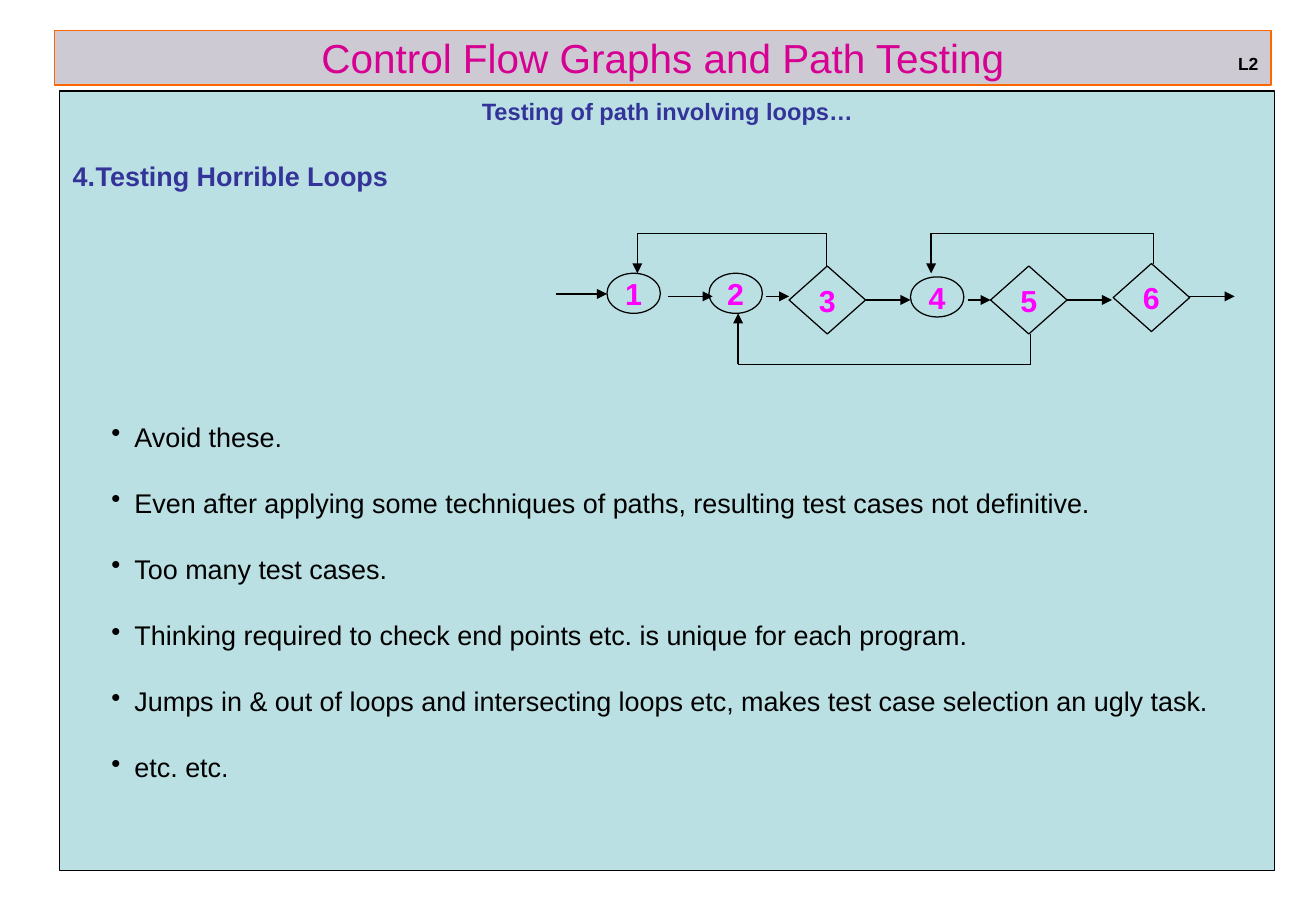
import pptx
import pptx.util
import pptx.dml.color
import pptx.enum.shapes
import pptx.enum.text
import pptx.oxml.ns
from lxml import etree

Inches = pptx.util.Inches
Pt = pptx.util.Pt
qn = pptx.oxml.ns.qn
RGB = pptx.dml.color.RGBColor.from_string
SHAPE = pptx.enum.shapes.MSO_SHAPE
ALIGN = pptx.enum.text.PP_ALIGN
MIDDLE = pptx.enum.text.MSO_ANCHOR.MIDDLE

COLORS = {
    "title": "D60093",
    "title_fill": "CECAD4",
    "title_line": "FF6600",
    "panel": "BBE0E3",
    "heading": "333399",
    "node": "FF00FF",
    "black": "000000",
}


def add_run(p, text, size, color, bold=False):
    r = p.add_run()
    r.text = text
    r.font.name = "Arial"
    r.font.size = Pt(size)
    r.font.bold = bold
    r.font.color.rgb = RGB(COLORS[color])
    return r


def paint(sp, fill, line):
    sp.fill.solid()
    sp.fill.fore_color.rgb = RGB(COLORS[fill])
    sp.line.color.rgb = RGB(COLORS[line])
    sp.line.width = Pt(0.75)


prs = pptx.Presentation()
prs.slide_width = Inches(10.84)
prs.slide_height = Inches(7.5)
s = prs.slides.add_slide(prs.slide_layouts[5])

title = s.shapes.title
title.left, title.top = Inches(0.45), Inches(0.25)
title.width, title.height = Inches(10.02), Inches(0.45)
paint(title, "title_fill", "title_line")
tf = title.text_frame
tf.auto_size = pptx.enum.text.MSO_AUTO_SIZE.NONE
tf.vertical_anchor = MIDDLE
p = tf.paragraphs[0]
p.alignment = ALIGN.CENTER
add_run(p, "Control Flow Graphs and Path Testing", 24, "title")

panel = s.shapes.add_shape(SHAPE.RECTANGLE, Inches(0.49), Inches(0.75), Inches(10.01), Inches(6.42))
panel.shadow.inherit = False
paint(panel, "panel", "black")

body = s.shapes.add_textbox(Inches(0.5), Inches(0.75), Inches(10), Inches(5.67))
tf = body.text_frame
tf.word_wrap = True
p = tf.paragraphs[0]
p.alignment = ALIGN.CENTER
add_run(p, "Testing of path involving loops…", 14, "heading", True)

items = [
    ("Testing Horrible Loops", 0, 20.5),
    ("Avoid these.", 1, 135),
    ("Even after applying some techniques of paths, resulting test cases not definitive.", 1, 20),
    ("Too many test cases.", 1, 20),
    ("Thinking required to check end points etc. is unique for each program.", 1, 20),
    ("Jumps in & out of loops and intersecting loops etc, makes test case selection an ugly task.", 1, 20),
    ("etc. etc.", 1, 20),
]
for text, level, gap in items:
    color = "black" if level else "heading"
    p = tf.add_paragraph()
    p.level = level
    pPr = p._p.get_or_add_pPr()
    pPr.set("marL", str(Inches(0.51 if level else 0.19)))
    pPr.set("indent", str(Inches(-0.19)))
    clr = etree.SubElement(pPr, qn("a:buClr"))
    etree.SubElement(clr, qn("a:srgbClr"), val=COLORS[color])
    if level:
        etree.SubElement(pPr, qn("a:buChar"), char="•")
    else:
        etree.SubElement(pPr, qn("a:buAutoNum"), type="arabicPeriod", startAt="4")
    p.space_before = Pt(gap)
    add_run(p, text, 16, color, not level)

label = s.shapes.add_textbox(Inches(10.1), Inches(0.25), Inches(0.37), Inches(0.41))
label.text_frame.word_wrap = False
r = add_run(label.text_frame.paragraphs[0], "L2", 18, "black", True)
r.font._element.set("baseline", "-12000")

sizes = {SHAPE.OVAL: (0.44, 0.33), SHAPE.DIAMOND: (0.63, 0.56)}
nodes = [
    ("1", SHAPE.OVAL, 5, 2.25),
    ("2", SHAPE.OVAL, 5.84, 2.25),
    ("3", SHAPE.DIAMOND, 6.5, 2.19),
    ("4", SHAPE.OVAL, 7.5, 2.28),
    ("5", SHAPE.DIAMOND, 8.16, 2.19),
    ("6", SHAPE.DIAMOND, 9.17, 2.17),
]
for name, kind, x, y in nodes:
    w, h = sizes[kind]
    sp = s.shapes.add_shape(kind, Inches(x), Inches(y), Inches(w), Inches(h))
    sp.shadow.inherit = False
    paint(sp, "panel", "black")
    tf = sp.text_frame
    tf.word_wrap = False
    tf.vertical_anchor = MIDDLE
    p = tf.paragraphs[0]
    p.alignment = ALIGN.CENTER
    add_run(p, name, 18, "node", True)

flow_arrows = [
    [(4.58, 2.42), (5, 2.42)],
    [(5.5, 2.44), (5.87, 2.44)],
    [(6.31, 2.44), (6.5, 2.44)],
    [(7.13, 2.47), (7.5, 2.47)],
    [(7.97, 2.47), (8.16, 2.47)],
    [(8.78, 2.47), (9.16, 2.47)],
    [(9.79, 2.44), (10.17, 2.44)],
]
loop_arrows = [
    [(6.81, 2.19), (6.81, 1.92), (5.25, 1.92), (5.25, 2.25)],
    [(8.49, 2.75), (8.49, 3), (6.08, 3), (6.08, 2.58)],
    [(9.5, 2.17), (9.5, 1.92), (7.67, 1.92), (7.67, 2.25)],
]
for route in flow_arrows + loop_arrows:
    for (x1, y1), (x2, y2) in zip(route, route[1:]):
        cn = s.shapes.add_connector(
            pptx.enum.shapes.MSO_CONNECTOR.STRAIGHT, Inches(x1), Inches(y1), Inches(x2), Inches(y2))
        cn.line.color.rgb = RGB(COLORS["black"])
        cn.line.width = Pt(0.75)
        if (x2, y2) == route[-1]:
            etree.SubElement(cn.line._get_or_add_ln(), qn("a:tailEnd"), type="triangle")
        etree.SubElement(cn._element.spPr, qn("a:effectLst"))

prs.save("out.pptx")
